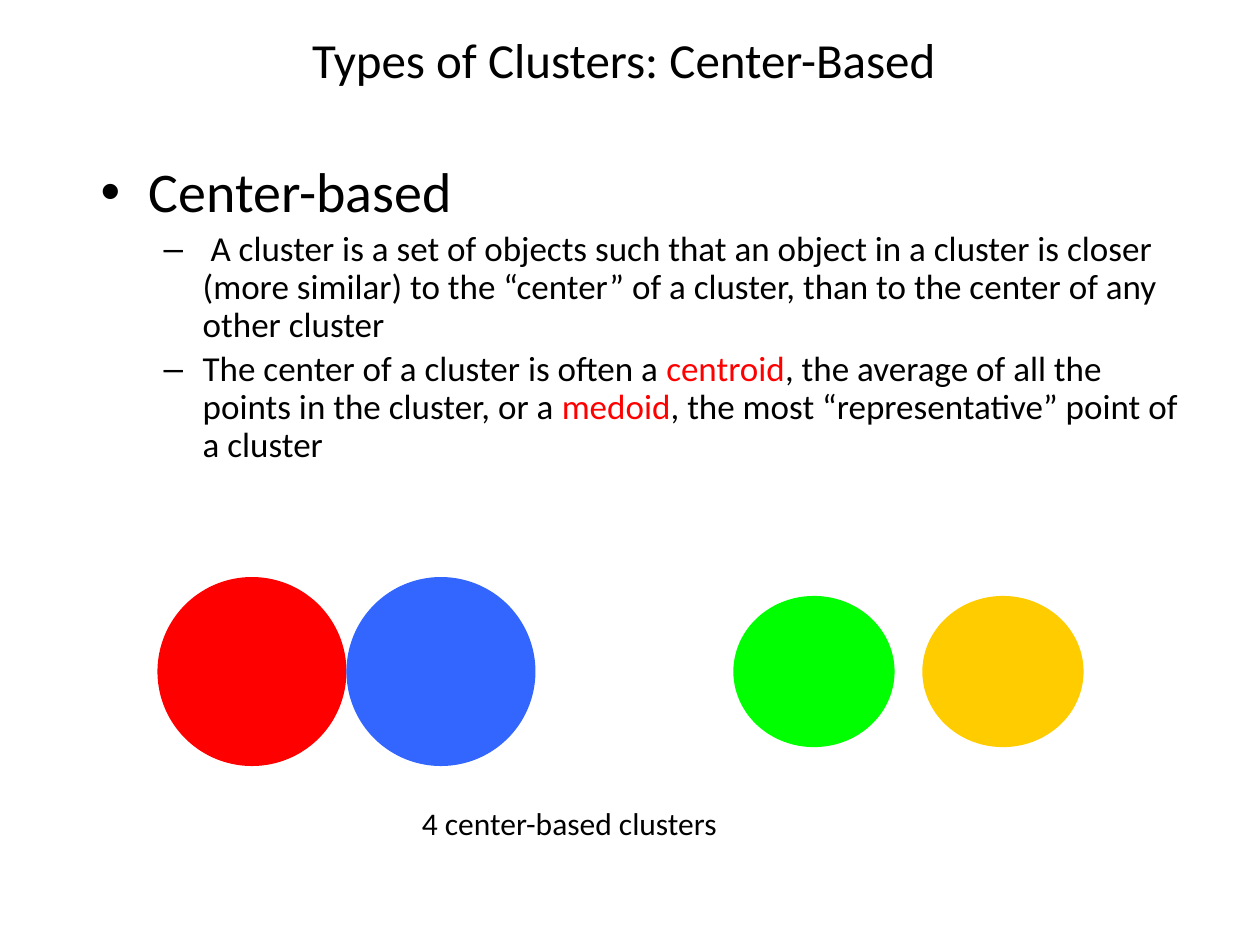
from lxml.etree import SubElement as Sub
from pptx import Presentation
from pptx.dml.color import RGBColor
from pptx.enum.shapes import MSO_SHAPE as Shape
from pptx.enum.text import MSO_ANCHOR as Anchor, PP_ALIGN as Align
from pptx.oxml.ns import qn
from pptx.util import Inches, Pt

BLACK, RED = "000000", "FF0000"

POINTS = [
    ("•", 32, 0.38, 0.38, [("Center-based", BLACK)]),
    ("–", 20, 0.81, 0.31, [
        (" A cluster is a set of objects such that an object in a cluster "
         "is closer (more similar) to the “center” of a cluster, than to "
         "the center of any other cluster", BLACK)]),
    ("–", 20, 0.81, 0.31, [
        ("The center of a cluster is often a ", BLACK),
        ("centroid", RED),
        (", the average of all the points in the cluster, or a ", BLACK),
        ("medoid", RED),
        (", the most “representative” point of a cluster", BLACK)]),
]

# center x, width, height, color
CLUSTERS = [
    (2, 1.5, 1.5, RED),
    (3.5, 1.5, 1.5, "3366FF"),
    (6.46, 1.28, 1.2, "00FF00"),
    (7.96, 1.28, 1.2, "FFCC00"),
]
MIDDLE = 5.33


def color(value):
    return RGBColor.from_string(value)


def add_run(para, text, size, tint=BLACK):
    run = para.add_run()
    run.text = text
    font = run.font
    font.name, font.size = "Calibri", Pt(size)
    font.color.rgb = color(tint)


def add_title(slide, text):
    title = slide.shapes.title
    title.left, title.top = Inches(0.42), Inches(0.17)
    title.width, title.height = Inches(9.06), Inches(0.6)
    frame = title.text_frame
    frame.vertical_anchor = Anchor.MIDDLE
    para = frame.paragraphs[0]
    para.alignment = Align.CENTER
    add_run(para, text, 28)


def add_box(slide, *place):
    box = slide.shapes.add_textbox(*map(Inches, place))
    box.text_frame.word_wrap = True
    return box.text_frame


def set_bullet(para, mark, left, hang):
    """Give the paragraph a bullet and a hanging indent, in inches."""
    props = para._p.get_or_add_pPr()
    props.set("marL", str(Inches(left)))
    props.set("indent", str(-Inches(hang)))
    Sub(props, qn("a:buFont"), typeface="Arial")
    Sub(props, qn("a:buChar"), char=mark)


def add_points(slide):
    frame = add_box(slide, 0.7, 1.25, 8.75, 5.59)
    for i, (mark, size, left, hang, runs) in enumerate(POINTS):
        para = frame.add_paragraph() if i else frame.paragraphs[0]
        para.level = 1 if mark == "–" else 0
        para.line_spacing = 0.9
        para.space_before = Pt(0.2 * size)
        set_bullet(para, mark, left, hang)
        for text, tint in runs:
            add_run(para, text, size, tint)


def add_cluster(slide, center, width, height, tint):
    place = center - width / 2, MIDDLE - height / 2, width, height
    disk = slide.shapes.add_shape(Shape.OVAL, *map(Inches, place))
    disk.shadow.inherit = False
    disk.fill.solid()
    disk.fill.fore_color.rgb = color(tint)
    disk.line.fill.background()


def add_caption(slide, text):
    para = add_box(slide, 3.25, 6.33, 3.5, 0.4).paragraphs[0]
    para.space_before = Pt(9)
    add_run(para, text, 18)


def main():
    deck = Presentation()
    deck.slide_width, deck.slide_height = Inches(10), Inches(7.5)
    slide = deck.slides.add_slide(deck.slide_layouts[5])
    add_title(slide, "Types of Clusters: Center-Based")
    add_points(slide)
    for cluster in CLUSTERS:
        add_cluster(slide, *cluster)
    add_caption(slide, "4 center-based clusters")
    deck.save("out.pptx")


if __name__ == "__main__":
    main()
